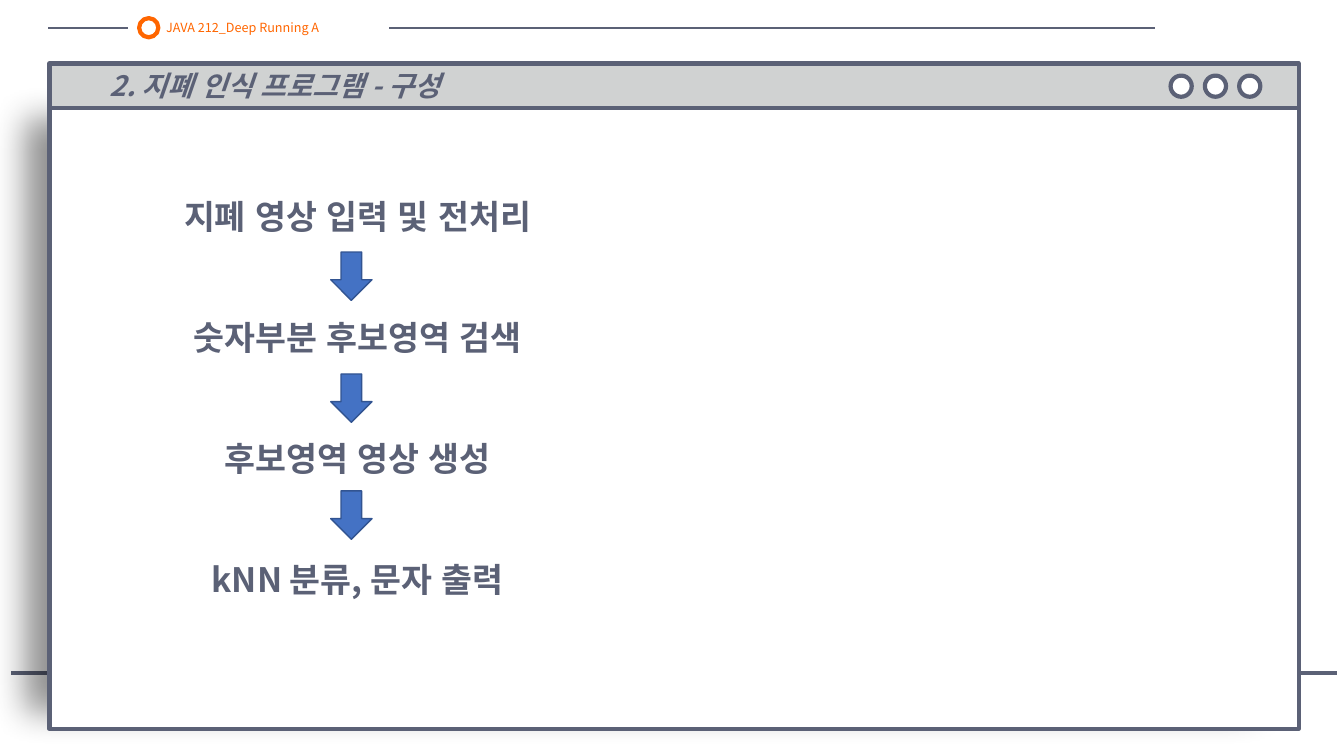
import dataclasses

import pptx
import pptx.dml.color
import pptx.enum.lang
import pptx.enum.shapes
import pptx.enum.text
import pptx.oxml
import pptx.oxml.ns
import pptx.util
from pptx.util import Inches

SHAPE = pptx.enum.shapes.MSO_SHAPE
ANCHOR = pptx.enum.text.MSO_ANCHOR
ALIGN = pptx.enum.text.PP_ALIGN
NAMESPACE = pptx.oxml.ns.nsdecls("a")


@dataclasses.dataclass(frozen=True)
class Theme:
    font: str = "Noto Sans CJK KR"
    slate: str = "5B6176"
    orange: str = "FF6600"
    white: str = "FFFFFF"
    bar: str = "D0D2D2"
    shadow: str = "000000"
    arrow: str = "4472C4"
    arrow_edge: str = "325491"
    label_size: float = 9
    title_size: float = 20
    step_size: float = 24
    step_gap: float = 57.7
    rule: float = 1.75
    border: float = 3


@dataclasses.dataclass(frozen=True)
class Box:
    left: float
    top: float
    width: float
    height: float

    def inside(self, left, top, width, height):
        return Box(self.left + left, self.top + top, width, height)

    def lengths(self):
        return [Inches(value) for value in (self.left, self.top, self.width, self.height)]


THEME = Theme()


def color(value):
    return pptx.dml.color.RGBColor.from_string(value)


def add_rule(shapes, left, right, top, width):
    line = shapes.add_connector(
        pptx.enum.shapes.MSO_CONNECTOR.STRAIGHT,
        Inches(left), Inches(top), Inches(right), Inches(top))
    line.line.color.rgb = color(THEME.slate)
    line.line.width = pptx.util.Pt(width)
    line._element.spPr.append(pptx.oxml.parse_xml(f"<a:effectLst {NAMESPACE}/>"))


def add_figure(shapes, kind, box, fill=THEME.white, edge=THEME.slate, width=THEME.border):
    shape = shapes.add_shape(kind, *box.lengths())
    shape.shadow.inherit = False
    shape.fill.solid()
    shape.fill.fore_color.rgb = color(fill)
    shape.line.color.rgb = color(edge)
    shape.line.width = pptx.util.Pt(width)
    return shape


def add_run(paragraph, text, size, ink, bold=False, italic=False):
    run = paragraph.add_run()
    run.text = text
    run.font.language_id = pptx.enum.lang.MSO_LANGUAGE_ID.KOREAN
    run.font.size = pptx.util.Pt(size)
    run.font.bold = bold
    run.font.italic = italic
    run.font.color.rgb = color(ink)
    run.font.name = THEME.font
    run.font._element.append(
        pptx.oxml.parse_xml(f'<a:ea {NAMESPACE} typeface="{THEME.font}"/>'))


def add_left_shadow(shape):
    effects = shape._element.spPr.find(pptx.oxml.ns.qn("a:effectLst"))
    effects.append(pptx.oxml.parse_xml(
        f'<a:outerShdw {NAMESPACE} blurRad="{pptx.util.Pt(24)}" dist="{pptx.util.Pt(25)}" '
        'dir="10800000" sx="98000" sy="94000" algn="ctr" rotWithShape="0">'
        f'<a:srgbClr val="{THEME.shadow}"><a:alpha val="43000"/></a:srgbClr></a:outerShdw>'))


def add_header(slide, box, label):
    middle = box.top + box.height / 2
    add_rule(slide.shapes, box.left, box.left + 0.79, middle, THEME.rule)
    add_rule(slide.shapes, box.left + 3.38, box.left + box.width, middle, THEME.rule)
    badge = slide.shapes.add_group_shape().shapes
    text_box = badge.add_textbox(*box.inside(1.07, 0, 3.57, 0.24).lengths())
    frame = text_box.text_frame
    frame.word_wrap = False
    frame.vertical_anchor = ANCHOR.MIDDLE
    add_run(frame.paragraphs[0], label, THEME.label_size, THEME.orange)
    add_figure(badge, SHAPE.OVAL, box.inside(0.9, 0.03, 0.19, 0.19), edge=THEME.orange)


def add_window(slide, box, title):
    add_rule(slide.shapes, 0.11, 13.26, box.top + 6.05, THEME.border)
    body = add_figure(slide.shapes, SHAPE.RECTANGLE,
                      box.inside(0, 0.38, box.width, box.height - 0.38))
    add_left_shadow(body)
    bar = add_figure(slide.shapes, SHAPE.RECTANGLE,
                     box.inside(0, 0, box.width, 0.44), THEME.bar)
    frame = bar.text_frame
    frame.word_wrap = True
    frame.vertical_anchor = ANCHOR.MIDDLE
    paragraph = frame.paragraphs[0]
    paragraph.level = 1
    paragraph.alignment = ALIGN.LEFT
    properties = paragraph._element.get_or_add_pPr()
    properties.set("marL", str(Inches(0.5)))
    properties.set("indent", "0")
    add_run(paragraph, title, THEME.title_size, THEME.slate, bold=True, italic=True)
    for index in range(3):
        add_figure(slide.shapes, SHAPE.OVAL,
                   box.inside(box.width - 1.27 + 0.34 * index, 0.12, 0.21, 0.21))


def add_flow(slide, box, steps, arrow_tops):
    frame = slide.shapes.add_textbox(*box.lengths()).text_frame
    frame.word_wrap = True
    for index, step in enumerate(steps):
        paragraph = frame.add_paragraph() if index else frame.paragraphs[0]
        paragraph.alignment = ALIGN.CENTER
        if index:
            paragraph.space_before = pptx.util.Pt(THEME.step_gap)
        add_run(paragraph, step, THEME.step_size, THEME.slate, bold=True)
    for top in arrow_tops:
        add_figure(slide.shapes, SHAPE.DOWN_ARROW, box.inside(2.38, top, 0.41, 0.48),
                   THEME.arrow, THEME.arrow_edge, 1)


def main():
    presentation = pptx.Presentation()
    presentation.slide_width = Inches(13.33)
    presentation.slide_height = Inches(7.5)
    slide = presentation.slides.add_slide(presentation.slide_layouts[6])
    add_header(slide, Box(0.48, 0.15, 10.98, 0.26), "JAVA 212_Deep Running A")
    add_window(slide, Box(0.49, 0.63, 12.39, 6.6), "2. 지폐 인식 프로그램 - 구성")
    steps = ["지폐 영상 입력 및 전처리", "숫자부분 후보영역 검색",
             "후보영역 영상 생성", "kNN 분류, 문자 출력"]
    add_flow(slide, Box(0.9, 1.89, 5.29, 4.61), steps, [0.61, 1.82, 2.98])
    presentation.save("out.pptx")


if __name__ == "__main__":
    main()
